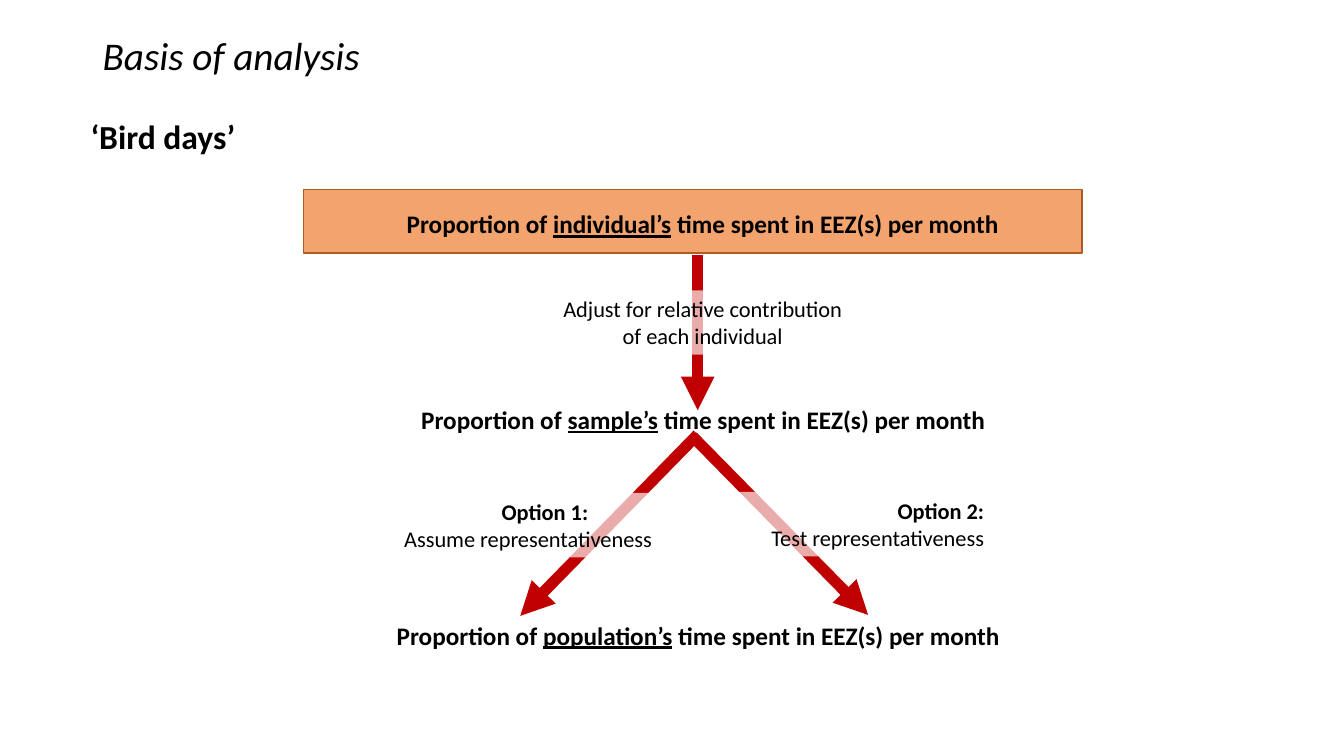
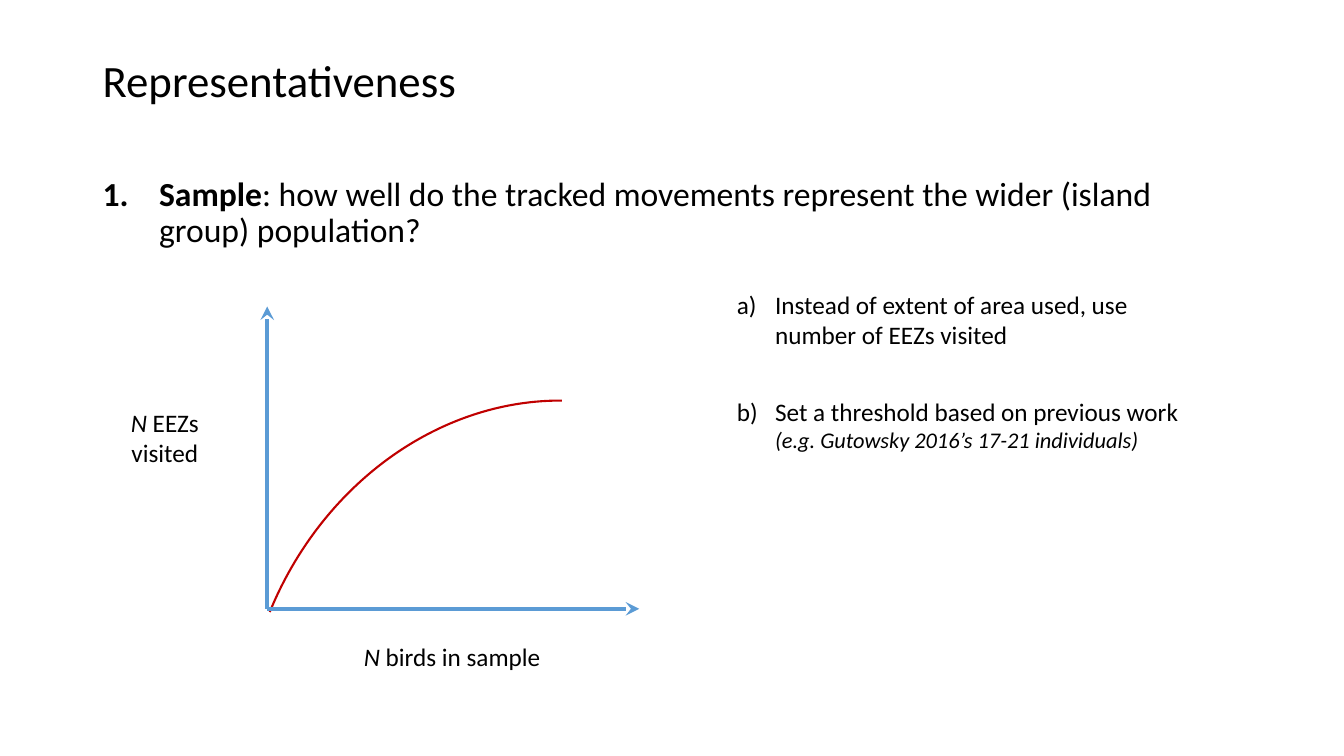
from dataclasses import dataclass, field
from typing import Any, Optional

from lxml.etree import SubElement
from pptx import Presentation
from pptx.dml.color import RGBColor
from pptx.enum.shapes import MSO_CONNECTOR, MSO_SHAPE
from pptx.enum.text import MSO_ANCHOR, PP_ALIGN
from pptx.oxml.ns import qn
from pptx.util import Emu, Pt

# Shared look: 100 px to the inch
EMU_PER_PX = 9144
FONT = "Calibri"
COLORS = {
    "text": "000000",
    "arrow": "C00000",
    "axis": "5B9BD5",
    "band": "ED7D31",
    "band_edge": "AF5C24",
    "veil": "FFFFFF",
}
TIGHT = {"line_spacing": 0.9}
CENTERED = {"alignment": PP_ALIGN.CENTER}
RIGHT = {"alignment": PP_ALIGN.RIGHT}


@dataclass
class Span:
    text: str
    size: int
    style: dict[str, Any] = field(default_factory=dict)


@dataclass
class Para:
    spans: list[Span]
    layout: dict[str, Any] = field(default_factory=dict)
    numbering: Optional[str] = None
    indent: int = 0


@dataclass
class Box:
    left: int
    top: int
    width: int
    height: int
    paras: list[Para] = field(default_factory=list)
    anchor: MSO_ANCHOR = MSO_ANCHOR.TOP
    fill: Optional[str] = None
    opacity: int = 100
    edge: Optional[str] = None


@dataclass
class Arrow:
    start: tuple[int, int]
    end: tuple[int, int]
    color: str
    weight: float
    tip: str


BOLD = {"bold": True}
ITALIC = {"italic": True}


def px(length: int) -> Emu:
    return Emu(length * EMU_PER_PX)


def rgb(name: str) -> RGBColor:
    return RGBColor.from_string(COLORS[name])


def set_all(target: Any, values: dict[str, Any]) -> None:
    for name, value in values.items():
        setattr(target, name, value)


# Text
def write_para(para: Any, content: Para) -> None:
    set_all(para, content.layout)
    if content.numbering:
        properties = para._p.get_or_add_pPr()
        properties.set("marL", str(px(content.indent)))
        properties.set("indent", str(px(-content.indent)))
        SubElement(properties, qn("a:buAutoNum"), type=content.numbering)
    for span in content.spans:
        run = para.add_run()
        run.text = span.text
        set_all(run.font, {"name": FONT, "size": Pt(span.size), **span.style})
        run.font.color.rgb = rgb("text")


def write_text(frame: Any, box: Box) -> None:
    set_all(frame, {"word_wrap": True, "vertical_anchor": box.anchor})
    for index, content in enumerate(box.paras):
        para = frame.add_paragraph() if index else frame.paragraphs[0]
        write_para(para, content)


# Shapes
def draw_box(page: Any, box: Box) -> None:
    frame = [px(n) for n in (box.left, box.top, box.width, box.height)]
    if box.fill is None:
        shape = page.shapes.add_textbox(*frame)
    else:
        shape = page.shapes.add_shape(MSO_SHAPE.RECTANGLE, *frame)
        shape.shadow.inherit = False
        shape.fill.solid()
        shape.fill.fore_color.rgb = rgb(box.fill)
        color = shape.fill._xPr.find(qn("a:solidFill"))[0]
        SubElement(color, qn("a:alpha"), val=str(box.opacity * 1000))
        if box.edge:
            shape.line.color.rgb = rgb(box.edge)
            shape.line.width = Pt(1)
        else:
            shape.line.fill.background()
    write_text(shape.text_frame, box)


def draw_arrow(page: Any, arrow: Arrow) -> None:
    ends = [px(n) for n in (*arrow.start, *arrow.end)]
    connector = page.shapes.add_connector(MSO_CONNECTOR.STRAIGHT, *ends)
    connector.line.color.rgb = rgb(arrow.color)
    connector.line.width = Pt(arrow.weight)
    SubElement(connector.line._get_or_add_ln(), qn("a:tailEnd"), type=arrow.tip)
    SubElement(connector._element.spPr, qn("a:effectLst"))


def draw_curve(page: Any) -> None:
    frame = [px(n) for n in (206, 432, 654, 577)]
    curve = page.shapes.add_shape(MSO_SHAPE.ARC, *frame)
    curve.shadow.inherit = False
    curve.rotation = 289.1
    curve.adjustments[0] = 164.41
    curve.adjustments[1] = 207.11
    curve.fill.background()
    curve.line.color.rgb = rgb("arrow")
    curve.line.width = Pt(1.5)


def draw_all(page: Any, items: list[Any]) -> None:
    for item in items:
        if isinstance(item, Arrow):
            draw_arrow(page, item)
        else:
            draw_box(page, item)


# Repeated elements
def heading(left: int, top: int, height: int, text: str, size: int,
            style: dict[str, Any]) -> Box:
    para = Para([Span(text, size, style)], TIGHT)
    return Box(left, top, 1150, height, [para], MSO_ANCHOR.MIDDLE)


def proportion(left: int, top: int, width: int, owner: str) -> Box:
    spans = [
        Span("Proportion of ", 18, BOLD),
        Span(owner, 18, {"bold": True, "underline": True}),
        Span(" time spent in EEZ(s) per month", 18, BOLD),
    ]
    return Box(left, top, width, 40, [Para(spans, CENTERED)])


def veil(left: int, top: int, width: int, paras: list[Para]) -> Box:
    return Box(left, top, width, 64, paras, fill="veil", opacity=67)


def option(left: int, top: int, number: int, action: str,
           layout: dict[str, Any]) -> Box:
    return veil(left, top, 299, [
        Para([Span(f"Option {number}:", 16, BOLD)], layout),
        Para([Span(f"{action} representativeness", 16)], layout),
    ])


def step_arrow(start: tuple[int, int], end: tuple[int, int]) -> Arrow:
    return Arrow(start, end, "arrow", 8, "triangle")


def axis(end: tuple[int, int]) -> Arrow:
    return Arrow((265, 604), end, "axis", 3.25, "stealth")


def axis_label(left: int, top: int, width: int, height: int, text: str,
               layout: dict[str, Any]) -> Box:
    spans = [Span("N", 18, ITALIC), Span(text, 18)]
    return Box(left, top, width, height, [Para(spans, layout)])


# Slides
def build_analysis(page: Any) -> None:
    adjust = "Adjust for relative contribution of each individual"
    draw_all(page, [
        heading(80, 106, 63, "‘Bird days’", 24, BOLD),
        heading(92, 40, 35, "Basis of analysis", 28, ITALIC),
        step_arrow((692, 253), (692, 407)),
        Box(301, 188, 772, 63, fill="band", opacity=70, edge="band_edge"),
        veil(546, 288, 302, [Para([Span(adjust, 16)], CENTERED)]),
        proportion(212, 610, 961, "population’s"),
        step_arrow((692, 431), (516, 611)),
        step_arrow((687, 433), (861, 610)),
        option(391, 489, 1, "Assume", {}),
        option(687, 488, 2, "Test", RIGHT),
        proportion(379, 202, 636, "individual’s"),
        proportion(318, 396, 759, "sample’s"),
    ])


def build_representativeness(page: Any) -> None:
    question = Para(
        [Span("Sample", 24, BOLD),
         Span(": how well do the tracked movements represent the wider "
              "(island group) population?", 24)],
        {**TIGHT, "space_before": Pt(10)}, "arabicPeriod", 56)
    extent = Para(
        [Span("Instead of extent of area used, use number of EEZs visited", 18)],
        {}, "alphaLcParenR", 38)
    threshold = Para(
        [Span("Set a threshold based on previous work ", 18),
         Span("(e.g. Gutowsky 2016’s 17-21 individuals)", 16, ITALIC)],
        {"space_before": Pt(33)}, "alphaLcParenR", 38)
    draw_all(page, [
        heading(92, 40, 84, "Representativeness", 32, {}),
        Box(92, 171, 1150, 505, [question]),
    ])
    draw_curve(page)
    draw_all(page, [
        axis((265, 304)),
        axis((634, 604)),
        axis_label(351, 631, 245, 40, " birds in sample", {}),
        axis_label(112, 399, 103, 71, " EEZs visited", CENTERED),
        Box(721, 282, 460, 173, [extent, threshold]),
    ])


def main() -> None:
    deck = Presentation()
    deck.slide_width, deck.slide_height = px(1333), px(750)
    for build in (build_analysis, build_representativeness):
        build(deck.slides.add_slide(deck.slide_layouts[6]))
    deck.save("out.pptx")


if __name__ == "__main__":
    main()
